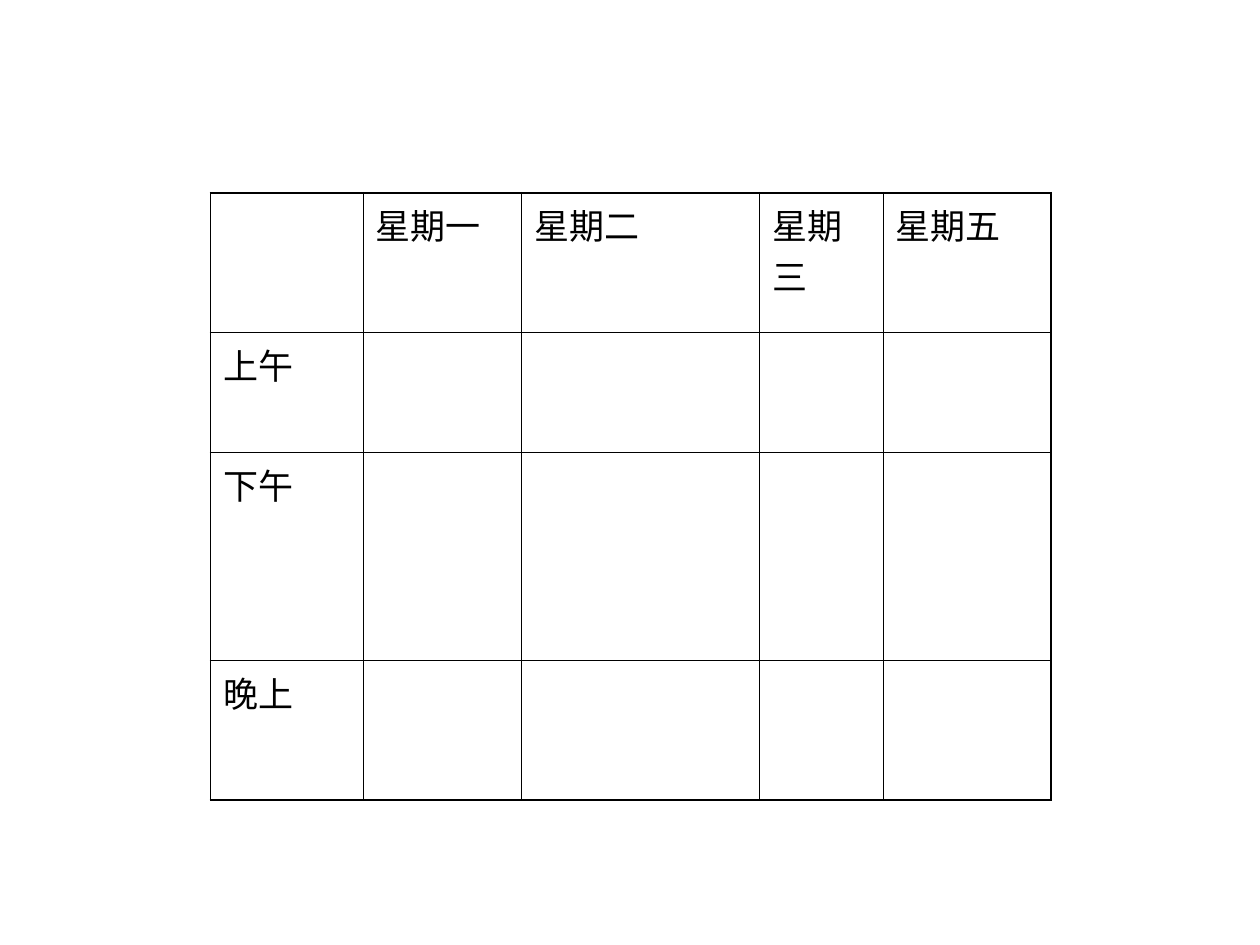
from lxml.etree import SubElement
from pptx import Presentation
from pptx.dml.color import RGBColor
from pptx.oxml.ns import qn
from pptx.util import Inches, Pt

COLORS = {"ink": "000000"}
FONT = "Arial"
OUTER, INNER = 1.08, 0.45
COLUMN_WIDTHS = [1.21, 1.26, 1.89, 0.98, 1.33]
ROW_HEIGHTS = [1.11, 0.95, 1.65, 1.11]
DAYS = ["星期一", "星期二", "星期三", "星期五"]
PERIODS = ["上午", "下午", "晚上"]


def set_borders(cell, left, right, top, bottom):
    """Draw the cell's four sides; widths are in points."""
    properties = cell._tc.get_or_add_tcPr()
    widths = {"a:lnL": left, "a:lnR": right, "a:lnT": top, "a:lnB": bottom}
    for index, (tag, width) in enumerate(widths.items()):
        line = SubElement(properties, qn(tag), w=str(Pt(width)))
        fill = SubElement(line, qn("a:solidFill"))
        SubElement(fill, qn("a:srgbClr"), val=COLORS["ink"])
        properties.insert(index, line)


def write_cell(cell, text):
    cell.text_frame.text = text
    font = cell.text_frame.paragraphs[0].runs[0].font
    font.name = FONT
    font.size = Pt(20)
    font.bold = False
    font.color.rgb = RGBColor.from_string(COLORS["ink"])


def add_timetable(slide):
    row_count, column_count = len(ROW_HEIGHTS), len(COLUMN_WIDTHS)
    table = slide.shapes.add_table(
        row_count, column_count, Inches(1.67), Inches(1.53),
        Inches(sum(COLUMN_WIDTHS)), Inches(sum(ROW_HEIGHTS))).table
    table.first_row = table.horz_banding = False
    for column, width in zip(table.columns, COLUMN_WIDTHS):
        column.width = Inches(width)
    for row, height in zip(table.rows, ROW_HEIGHTS):
        row.height = Inches(height)

    for r in range(row_count):
        for c in range(column_count):
            cell = table.cell(r, c)
            cell.fill.background()
            set_borders(
                cell,
                left=OUTER if c == 0 else INNER,
                right=OUTER if c == column_count - 1 else INNER,
                top=OUTER if r == 0 else INNER,
                bottom=OUTER if r == row_count - 1 else INNER)

    for c, day in enumerate(DAYS, start=1):
        write_cell(table.cell(0, c), day)
    for r, period in enumerate(PERIODS, start=1):
        write_cell(table.cell(r, 0), period)


def main():
    presentation = Presentation()
    presentation.slide_width = Inches(10)
    presentation.slide_height = Inches(7.5)
    slide = presentation.slides.add_slide(presentation.slide_layouts[6])
    add_timetable(slide)
    presentation.save("out.pptx")


if __name__ == "__main__":
    main()
